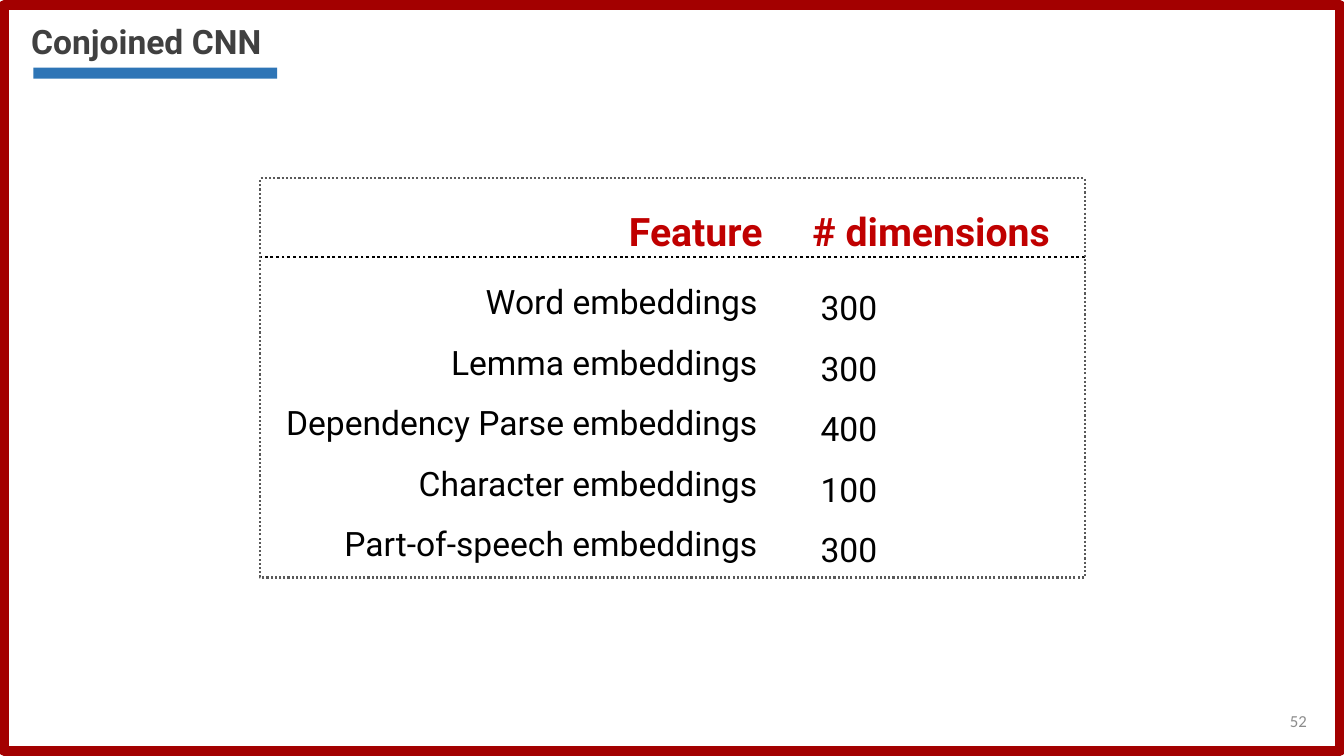
from pptx import Presentation
from pptx.dml.color import RGBColor as RGB
from pptx.enum.dml import MSO_LINE as DASH
from pptx.enum.shapes import MSO_CONNECTOR as CONN, MSO_SHAPE as SHAPE
from pptx.enum.text import MSO_ANCHOR as ANCHOR, PP_ALIGN as ALIGN
from pptx.oxml.ns import qn
from pptx.util import Emu, Pt
from lxml.etree import SubElement

PX = 9144
COLORS = {
    "white": "FFFFFF", "frame": "A30000", "page": "8C8C8C", "title": "404040",
    "bar": "2E75B6", "head": "C00000", "body": "000000", "border": "595959",
}
FEATURES = [
    ("Word embeddings", "300"),
    ("Lemma embeddings", "300"),
    ("Dependency Parse embeddings", "400"),
    ("Character embeddings", "100"),
    ("Part-of-speech embeddings", "300"),
]


def px(*values):
    """Turn pixel lengths into EMU."""
    return [Emu(v * PX) for v in values]


def rgb(name):
    """Look up a named colour."""
    return RGB.from_string(COLORS[name])


def style_line(line, color, width, dash=None):
    """Set the colour, width and dash of a line."""
    line.color.rgb = rgb(color)
    line.width = Pt(width)
    if dash:
        line.dash_style = dash


def add_rect(s, box, fill=None, line=None):
    """Add a rectangle with an optional fill and line."""
    sp = s.shapes.add_shape(SHAPE.RECTANGLE, *px(*box))
    sp.shadow.inherit = False
    if fill:
        sp.fill.solid()
        sp.fill.fore_color.rgb = rgb(fill)
    else:
        sp.fill.background()
    if line:
        style_line(sp.line, *line)
    else:
        sp.line.fill.background()


def add_rule(s, start, end, line):
    """Add a straight line without a shadow."""
    sp = s.shapes.add_connector(CONN.STRAIGHT, *px(*start, *end))
    style_line(sp.line, *line)
    SubElement(sp._element.spPr, qn("a:effectLst"))


def add_text(s, text, box, size=24, color="body", bold=False, font="Roboto",
             align=ALIGN.LEFT, anchor=ANCHOR.TOP, spacing=None):
    """Add a text box with one paragraph per line of text."""
    tf = s.shapes.add_textbox(*px(*box)).text_frame
    tf.word_wrap = True
    tf.vertical_anchor = anchor
    for i, line in enumerate(text.split("\n")):
        p = tf.add_paragraph() if i else tf.paragraphs[0]
        p.alignment = align
        p.line_spacing = spacing
        r = p.add_run()
        r.text = line
        r.font.name = font
        r.font.size = Pt(size)
        r.font.bold = bold
        r.font.color.rgb = rgb(color)


def add_features(s):
    """Add the feature list with its headings and dotted border."""
    names, dims = ("\n".join(column) for column in zip(*FEATURES))
    add_text(s, names, (214, 254, 547, 368), align=ALIGN.RIGHT, spacing=1.5)
    add_text(s, dims, (804, 260, 163, 308), spacing=1.5)
    for text, left, width in (("Feature", 614, 163), ("# dimensions", 796, 279)):
        add_text(s, text, (left, 177, width, 75), size=28, color="head",
                 bold=True, spacing=1.5)
    add_rule(s, (1076, 255), (258, 255), ("body", 2, DASH.ROUND_DOT))
    add_rect(s, (258, 177, 818, 396), line=("border", 1.5, DASH.ROUND_DOT))


def main():
    """Build the slide and save it."""
    prs = Presentation()
    prs.slide_width, prs.slide_height = px(1333, 750)
    s = prs.slides.add_slide(prs.slide_layouts[6])
    add_rect(s, (4, 5, 1325, 740), fill="white", line=("frame", 7))
    add_text(s, "52", (1006, 695, 300, 40), size=12, color="page",
             font="Calibri", align=ALIGN.RIGHT, anchor=ANCHOR.MIDDLE)
    add_text(s, "Conjoined CNN", (21, 16, 417, 50), color="title", bold=True,
             anchor=ANCHOR.BOTTOM)
    add_rect(s, (33, 67, 242, 11), fill="bar")
    add_features(s)
    prs.save("out.pptx")


if __name__ == "__main__":
    main()
